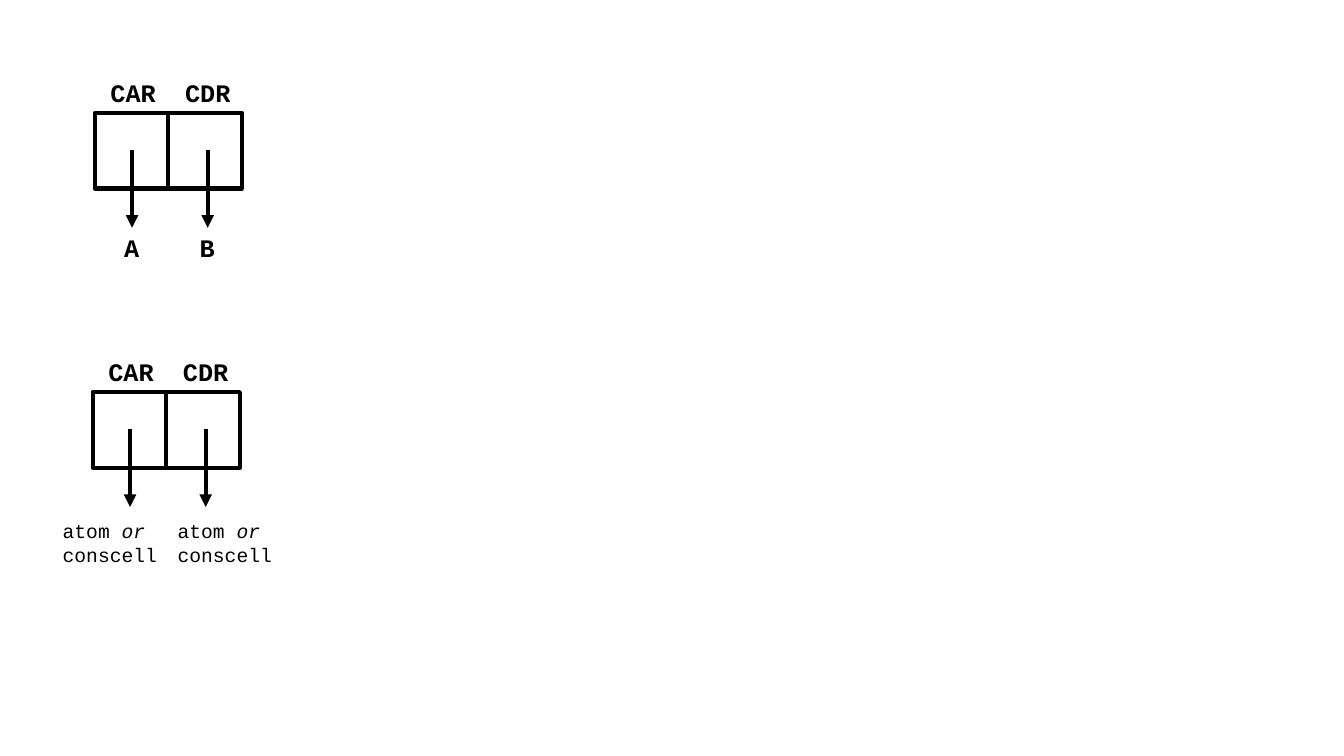
"""Draw two cons cells, each with a CAR and a CDR pointer."""
from lxml import etree
from pptx import Presentation
from pptx.dml.color import RGBColor
from pptx.enum.shapes import MSO_CONNECTOR as Link, MSO_SHAPE as Shape
from pptx.enum.text import MSO_AUTO_SIZE as Fit, PP_ALIGN as Align
from pptx.oxml.ns import qn
from pptx.util import Inches, Pt

INK, PAPER = "000000", "FFFFFF"
WIDE, HIGH = 1.46, 0.75
HALF = WIDE / 2


def label(mid, top, size, lines, bold=False):
    wide, high = size
    box = slide.shapes.add_textbox(
        Inches(mid - wide / 2), Inches(top), Inches(wide), Inches(high))
    frame = box.text_frame
    frame.word_wrap = False
    frame.auto_size = Fit.SHAPE_TO_FIT_TEXT
    for row, runs in enumerate(lines):
        para = frame.add_paragraph() if row else frame.paragraphs[0]
        para.alignment = Align.CENTER
        for text, slant in runs:
            run = para.add_run()
            run.text = text
            run.font.name = "Courier New"
            run.font.size = Pt(18 if bold else 14)
            run.font.bold = bold
            run.font.italic = slant
            run.font.color.rgb = RGBColor.from_string(INK)


def stroke(x, start, end, arrow=False):
    link = slide.shapes.add_connector(
        Link.STRAIGHT, Inches(x), Inches(start), Inches(x), Inches(end))
    link.line.width = Pt(3)
    link.line.color.rgb = RGBColor.from_string(INK)
    props = link._element.spPr
    etree.SubElement(props, qn("a:effectLst"))
    if arrow:
        etree.SubElement(props.find(qn("a:ln")), qn("a:tailEnd"), type="triangle")


deck = Presentation()
deck.slide_width, deck.slide_height = Inches(13.33), Inches(7.5)
slide = deck.slides.add_slide(deck.slide_layouts[6])

kind = [[("atom ", False), ("or ", True)], [("conscell", False)]]
cells = [
    (0.94, 1.12, (0.44, 0.4), 0.75, 1.135, ([[("A", False)]], [[("B", False)]]), True),
    (0.92, 3.89, (1.15, 0.57), 1.14, 1.21, (kind, kind), False),
]

for left, top, size, step, drop, ends, bold in cells:
    cell = slide.shapes.add_shape(
        Shape.RECTANGLE, Inches(left), Inches(top), Inches(WIDE), Inches(HIGH))
    cell.shadow.inherit = False
    cell.fill.solid()
    cell.fill.fore_color.rgb = RGBColor.from_string(PAPER)
    cell.line.color.rgb = RGBColor.from_string(INK)
    cell.line.width = Pt(3)
    stroke(left + HALF, top, top + HIGH)
    for col, name in enumerate(("CAR", "CDR")):
        stroke(left + 0.37 + col * 0.75, top + 0.37, top + 1.14, True)
        label(left + 0.38 + col * 0.74, top - 0.4, (0.74, 0.4), [[(name, False)]], True)
        label(left + 0.74 + (col - 0.5) * step, top + drop, size, ends[col], bold)

deck.save("out.pptx")
